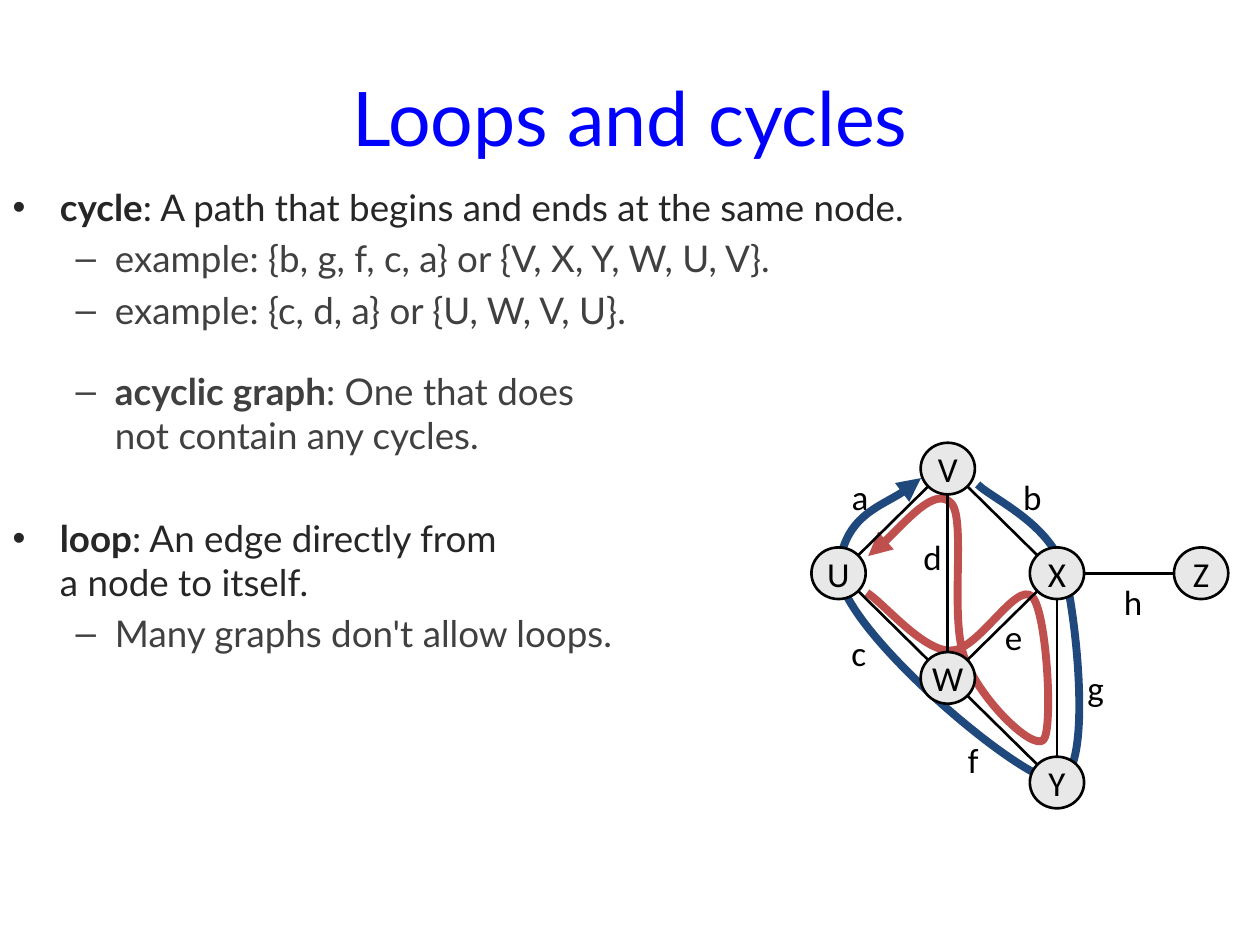
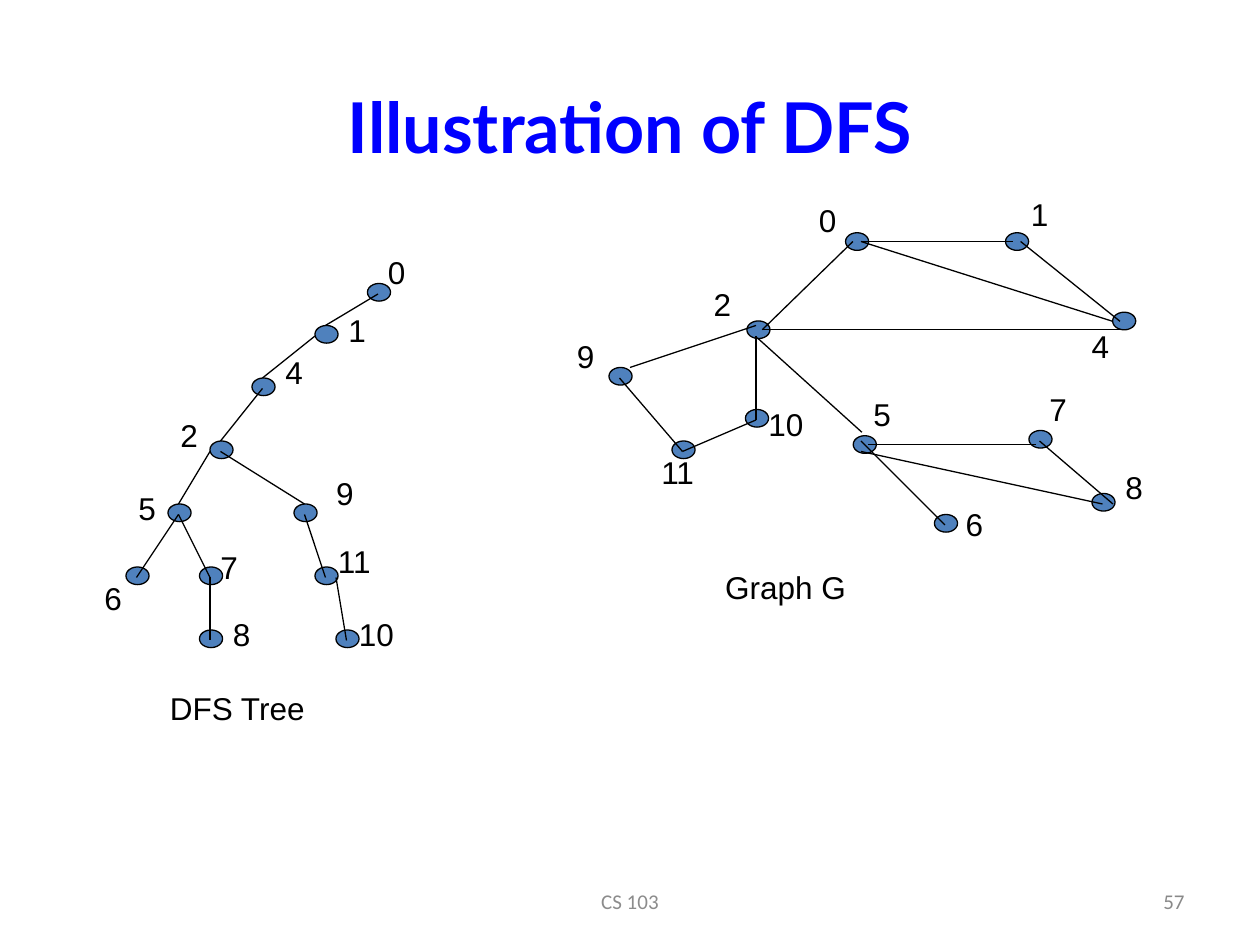
import math

import pptx
import pptx.dml.color
import pptx.enum.shapes
import pptx.enum.text
import pptx.oxml.ns
import pptx.util

Pt = pptx.util.Pt
qn = pptx.oxml.ns.qn
ALIGN = pptx.enum.text.PP_ALIGN
ANCHOR = pptx.enum.text.MSO_ANCHOR
OVAL = pptx.enum.shapes.MSO_SHAPE.OVAL

TITLE_BLUE, BLACK = "0000FF", "000000"
TEXT_DARK, TEXT_LIGHT = "262626", "404040"
NODE_GREY, DOT_BLUE = "E8E8E8", "4F81BD"
PATH_BLUE, PATH_RED = "1F497D", "C0504D"
FOOTER_GREY, NUMBER_GREY = "8C8C8C", "898989"

# Level, bold lead, rest, colour, space before
LOOP_LINES = [
    (0, "cycle", ": A path that begins and ends at the same node.", TEXT_DARK, 0),
    (1, "", "example: {b, g, f, c, a} or {V, X, Y, W, U, V}.", TEXT_LIGHT, None),
    (1, "", "example: {c, d, a} or {U, W, V, U}.", TEXT_LIGHT, None),
    (1, "acyclic graph", ": One that does\vnot contain any cycles.", TEXT_LIGHT, 21),
    (0, "loop", ": An edge directly from\va node to itself.", TEXT_DARK, 33.6),
    (1, "", "Many graphs don't allow loops.", TEXT_LIGHT, None),
]

# Column and row of each node
NODE_CELLS = {"X": (2, 1), "U": (0, 1), "V": (1, 0), "W": (1, 2),
              "Z": (3.32, 1), "Y": (2, 3)}
NODE_EDGES = ["VU", "WU", "WX", "XZ", "VX", "VW", "WY", "XY"]
EDGE_LABELS = {"a": (27.7, 30.6), "c": (27, 120), "b": (125.8, 30.6),
               "e": (115.4, 110.5), "d": (68.8, 65.2), "f": (92.4, 181),
               "g": (162.4, 140), "h": (183.4, 90.4)}
# Bezier points: a start, then two controls and an end for each piece
LONG_CYCLE = [
    (95, 23.8),
    (103.7, 32.4), (136.8, 46.1), (144.7, 74.2),
    (151.9, 102.2), (161.3, 193.7), (139.7, 193),
    (118.8, 193), (13, 103), (15.8, 72),
    (18.7, 41.8), (52.6, 31), (62.6, 20.2),
]
SHORT_CYCLE = [
    (32.4, 64.8),
    (40.3, 59.8), (70.6, 24.5), (79.9, 34.6),
    (88.6, 43.9), (78.5, 101.5), (87.8, 123.8),
    (96.5, 146.9), (126, 175.7), (132.5, 169.9),
    (138.2, 164.2), (134.6, 96.5), (126, 87.8),
    (116.6, 79.2), (95, 119.5), (79.2, 118.8),
    (63.4, 118.8), (41.8, 92.2), (31.7, 85.7),
]

# Vertex name: dot corner, label corner
TREE_VERTICES = {
    "0": ((138, 0), (142.6, -21)), "1": ((108, 24), (120, 12)),
    "4": ((72, 54), (84, 36)), "2": ((48, 90), (24, 72)),
    "5": ((24, 126), (0, 114)), "9": ((96, 126), (113, 105.4)),
    "6": ((0, 162), (-19.4, 165.6)), "7": ((42, 162), (46.8, 147.4)),
    "11": ((108, 162), (114, 144)), "8": ((42, 198), (54, 186)),
    "10": ((120, 198), (126, 186)),
}
TREE_EDGES = [
    (78, 54, 108, 30), (114, 24, 144, 6), (78, 60, 54, 90),
    (30, 126, 48, 96), (6, 168, 30, 132), (30, 132, 48, 168),
    (48, 168, 48, 204), (54, 96, 102, 126), (102, 132, 114, 168),
    (120, 168, 126, 204),
]
GRAPH_VERTICES = {
    "0": ((135.2, 25), (112.8, 3.6)), "1": ((226.6, 25), (234, 0)),
    "2": ((78.8, 75.4), (52.8, 51.3)), "4": ((287.8, 70.4), (268.8, 75.6)),
    "5": ((139.6, 141), (144, 114)), "6": ((186, 186), (196.8, 177)),
    "7": ((240, 138), (244.6, 111.6)), "8": ((276, 174), (288, 156)),
    "9": ((0, 102), (-25.4, 81.2)), "10": ((78, 126), (84, 120)),
    "11": ((36, 144), (22.8, 147.6)),
}
GRAPH_EDGES = [
    (144, 30, 231, 30), (87.6, 80.4, 292, 80.4), (87.6, 80.4, 139.4, 30),
    (235.2, 30, 292, 75.6), (148, 146, 244, 146), (144, 30, 287.8, 75.6),
    (144.5, 139, 84.7, 85), (246, 144, 288, 180), (144, 144, 192, 192),
    (144, 150, 282, 180), (84, 78, 12, 102), (84, 84, 84, 132),
    (6, 108, 42, 150), (84, 132, 42, 150),
]


def colour(code):
    return pptx.dml.color.RGBColor.from_string(code)


def style_para(para, size, name, code, align=None, bold=None):
    if align is not None:
        para.alignment = align
    para.font.size = Pt(size)
    para.font.name = name
    para.font.color.rgb = colour(code)
    if bold is not None:
        para.font.bold = bold


def move(shape, left, top, width, height):
    shape.left, shape.top = Pt(left), Pt(top)
    shape.width, shape.height = Pt(width), Pt(height)


def set_title(page, text, box, size, bold):
    title = page.shapes.title
    move(title, *box)
    title.text_frame.text = text
    title.text_frame.vertical_anchor = ANCHOR.MIDDLE
    style_para(title.text_frame.paragraphs[0], size, "Lato", TITLE_BLUE, ALIGN.CENTER, bold)


def add_text(canvas, text, box, size, name, code, align=ALIGN.LEFT,
             anchor=ANCHOR.TOP, wrap=True):
    frame = canvas.shapes.add_textbox(*map(Pt, box)).text_frame
    frame.word_wrap = wrap
    frame.vertical_anchor = anchor
    frame.text = text
    style_para(frame.paragraphs[0], size, name, code, align)


def add_oval(canvas, box, fill, line_width):
    oval = canvas.shapes.add_shape(OVAL, *map(Pt, box))
    oval.shadow.inherit = False
    oval.fill.solid()
    oval.fill.fore_color.rgb = colour(fill)
    oval.line.color.rgb = colour(BLACK)
    oval.line.width = Pt(line_width)
    return oval


def add_edge(canvas, x1, y1, x2, y2, width):
    edge = canvas.shapes.add_connector(
        pptx.enum.shapes.MSO_CONNECTOR.STRAIGHT, Pt(x1), Pt(y1), Pt(x2), Pt(y2))
    edge.line.color.rgb = colour(BLACK)
    edge.line.width = Pt(width)
    properties = edge._element.spPr
    properties.append(properties.makeelement(qn("a:effectLst"), {}))


def add_cycle(page, left, top, points, code, arrow_end):
    """Draw a Bezier path with an arrowhead at its headEnd or tailEnd."""
    outline = [(Pt(left + x), Pt(top + y)) for x, y in points]
    builder = page.shapes.build_freeform(*outline[0])
    builder.add_line_segments(outline[1:], close=False)
    curve = builder.convert_to_shape()
    segments = list(curve._element.iter(qn("a:lnTo")))
    for first in range(0, len(segments), 3):
        piece = segments[first].makeelement(qn("a:cubicBezTo"), {})
        segments[first].addprevious(piece)
        for segment in segments[first:first + 3]:
            piece.append(segment[0])
            segment.getparent().remove(segment)
    curve.shadow.inherit = False
    curve.fill.background()
    curve.line.color.rgb = colour(code)
    curve.line.width = Pt(4.5)
    line = curve.line._get_or_add_ln()
    line.append(line.makeelement(qn(arrow_end), {"type": "triangle"}))


def add_lines(page, box, lines):
    body = page.placeholders[1]
    move(body, *box)
    frame = body.text_frame
    frame.auto_size = pptx.enum.text.MSO_AUTO_SIZE.NONE
    for index, (level, lead, rest, code, before) in enumerate(lines):
        para = frame.add_paragraph() if index else frame.paragraphs[0]
        para.level = level
        if before is not None:
            para.space_before = Pt(before)
        style_para(para, 21, "Lato", code)
        if lead:
            span = para.add_run()
            span.text = lead
            span.font.bold = True
        for part, text in enumerate(rest.split("\v")):
            if part:
                para.add_line_break()
            para.add_run().text = text


def add_cycle_graph(page, left, top):
    width, height = 31, 29.5
    centres = {name: (left + width / 2 + 62.4 * column, top + height / 2 + 59.8 * row)
               for name, (column, row) in NODE_CELLS.items()}
    add_cycle(page, left, top, LONG_CYCLE, PATH_BLUE, "a:tailEnd")
    add_cycle(page, left, top, SHORT_CYCLE, PATH_RED, "a:headEnd")
    group = page.shapes.add_group_shape()
    for name, (x, y) in centres.items():
        node = add_oval(group, (x - width / 2, y - height / 2, width, height), NODE_GREY, 1.5)
        frame = node.text_frame
        frame.word_wrap = False
        frame.vertical_anchor = ANCHOR.MIDDLE
        frame.text = name
        style_para(frame.paragraphs[0], 20, "Calibri", BLACK, ALIGN.CENTER)
    for start, end in NODE_EDGES:
        (x1, y1), (x2, y2) = centres[start], centres[end]
        angle = math.atan2(y2 - y1, x2 - x1)
        dx, dy = (width / 2 + 0.5) * math.cos(angle), (height / 2 + 0.5) * math.sin(angle)
        add_edge(group, x1 + dx, y1 + dy, x2 - dx, y2 - dy, 1.5)
    for name, (x, y) in EDGE_LABELS.items():
        add_text(group, name, (left + x - 12, top + y - 15.5, 24, 31),
                 20, "Calibri", BLACK, ALIGN.CENTER)


def add_dot_graph(page, left, top, vertices, edges, caption, caption_box):
    for (x, y), _ in vertices.values():
        add_oval(page, (left + x, top + y, 13.2, 10.1), DOT_BLUE, 0.75)
    for x1, y1, x2, y2 in edges:
        add_edge(page, left + x1, top + y1, left + x2, top + y2, 0.75)
    labels = [(name, x, y, 16.6 + 10 * len(name)) for name, (_, (x, y)) in vertices.items()]
    for text, x, y, width in labels + [(caption, *caption_box)]:
        add_text(page, text, (left + x, top + y, width, 36), 18, "Arial", BLACK, wrap=False)


def add_footer(page, text, number):
    add_text(page, text, (246, 500.5, 228, 28.8), 12, "Calibri", FOOTER_GREY,
             ALIGN.CENTER, ANCHOR.MIDDLE)
    add_text(page, number, (516, 500.5, 168, 28.8), 12, "Calibri", NUMBER_GREY,
             ALIGN.RIGHT, ANCHOR.MIDDLE)


def build_loops_slide(deck):
    page = deck.slides.add_slide(deck.slide_layouts[1])
    set_title(page, "Loops and cycles", (36, 21.6, 648, 90), 43, False)
    add_lines(page, (0, 102, 720, 438), LOOP_LINES)
    add_cycle_graph(page, 463.7, 253)


def build_search_slide(deck):
    page = deck.slides.add_slide(deck.slide_layouts[5])
    add_footer(page, "CS 103", "57")
    set_title(page, "Illustration of DFS", (54, 48, 612, 48), 40, True)
    add_dot_graph(page, 348, 108, GRAPH_VERTICES, GRAPH_EDGES, "Graph G", (59.3, 213, 98))
    add_dot_graph(page, 72, 162, TREE_VERTICES, TREE_EDGES, "DFS Tree", (18, 228, 108.7))


def main():
    deck = pptx.Presentation()
    deck.slide_width, deck.slide_height = Pt(720), Pt(540)
    build_loops_slide(deck)
    build_search_slide(deck)
    deck.save("out.pptx")


if __name__ == "__main__":
    main()
